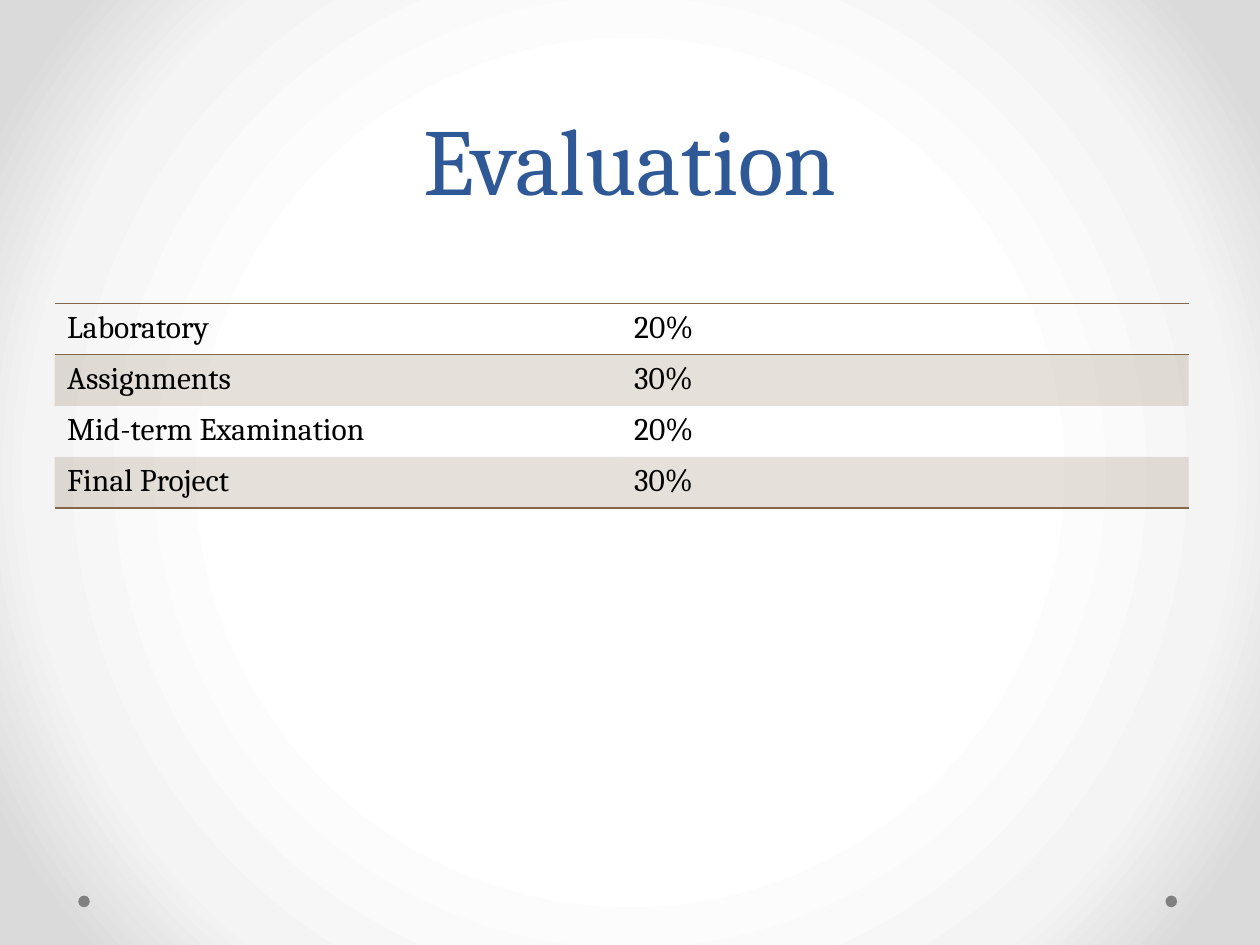
from pptx import Presentation
from pptx.dml.color import RGBColor as RGB
from pptx.enum.shapes import MSO_SHAPE as Shape
from pptx.enum.text import MSO_ANCHOR as Anchor, PP_ALIGN as Align
from pptx.oxml import parse_xml
from pptx.oxml.ns import nsdecls, qn
from pptx.util import Pt

BLUE = RGB(0x2F, 0x58, 0x97)
BROWN = RGB(0x84, 0x66, 0x48)
GREY = RGB(0x80, 0x80, 0x80)
BLACK = RGB(0, 0, 0)
GLOW = [(50, RGB(0xFF, 0xFF, 0xFF)), (76, RGB(0xF4, 0xF4, 0xF4)),
        (92, RGB(0xDA, 0xDA, 0xDA))]
FONT = "Cambria"
PLAIN = "{2D5ABB26-0587-4C30-8999-92F81FD0307C}"
ROWS = [("Laboratory", "20%"), ("Assignments", "30%"),
        ("Mid-term Examination", "20%"), ("Final Project", "30%")]


def style(font, color, **values):
    """Set the colour and other values of a font."""
    font.color.rgb = color
    for name, value in values.items():
        setattr(font, name, value)


def backdrop(slide):
    """Fill the background with a round glow."""
    stops = "".join(
        f'<a:gs pos="{at * 1000}"><a:srgbClr val="{color}"/></a:gs>'
        for at, color in GLOW)
    slide.element.cSld.insert(0, parse_xml(
        f'<p:bg {nsdecls("p", "a")}><p:bgPr><a:gradFill rotWithShape="1">'
        f'<a:gsLst>{stops}</a:gsLst><a:path path="circle"><a:fillToRect '
        'l="50000" t="50000" r="50000" b="50000"/></a:path></a:gradFill>'
        '<a:effectLst/></p:bgPr></p:bg>'))


def dots(slide, left, top, width, size):
    """Place a dot at each end of a strip."""
    for x in (left, left + width - size):
        dot = slide.shapes.add_shape(
            Shape.OVAL, Pt(x), Pt(top), Pt(size), Pt(size))
        dot.shadow.inherit = False
        dot.fill.solid()
        dot.fill.fore_color.rgb = GREY
        dot.line.fill.background()


def title(slide, text, left, top, width, height):
    """Write the heading at the foot of its box."""
    frame = slide.shapes.add_textbox(
        Pt(left), Pt(top), Pt(width), Pt(height)).text_frame
    frame.word_wrap = True
    frame.vertical_anchor = Anchor.BOTTOM
    para = frame.paragraphs[0]
    para.text = text
    para.alignment = Align.CENTER
    para.line_spacing = Pt(58)
    style(para.runs[0].font, BLUE, name=FONT, size=Pt(54))


def rule(cell, side):
    """Draw a thin line on one side (T or B) of a cell."""
    props = cell._tc.get_or_add_tcPr()
    line = parse_xml(
        f'<a:ln{side} {nsdecls("a")} w="{Pt(1)}"><a:solidFill>'
        f'<a:srgbClr val="{BROWN}"/></a:solidFill></a:ln{side}>')
    props.insert(len(props.findall(qn("a:lnT"))), line)


def shade(cell, band):
    """Tint a banded cell, or leave it clear."""
    if not band:
        cell.fill.background()
        return
    cell.fill.solid()
    cell.fill.fore_color.rgb = BROWN
    color = cell._tc.tcPr.find(".//" + qn("a:srgbClr"))
    color.append(parse_xml(f'<a:alpha {nsdecls("a")} val="20000"/>'))


def grades(slide, rows, left, top, width, height):
    """Build the ruled and banded table of grade shares."""
    table = slide.shapes.add_table(
        len(rows), len(rows[0]), Pt(left), Pt(top), Pt(width), Pt(height)).table
    table.first_row = table.horz_banding = False
    table._tbl.tblPr.find(qn("a:tableStyleId")).text = PLAIN
    sides = {0: "TB", len(rows) - 1: "B"}
    for r, row in enumerate(rows):
        for c, text in enumerate(row):
            cell = table.cell(r, c)
            cell.text = text
            style(cell.text_frame.paragraphs[0].runs[0].font, BLACK,
                  name=FONT, size=Pt(18))
            shade(cell, r % 2)
            for side in sides.get(r, ""):
                rule(cell, side)


def main():
    """Build and save the slide."""
    deck = Presentation()
    deck.slide_width, deck.slide_height = Pt(720), Pt(540)
    slide = deck.slides.add_slide(deck.slide_layouts[6])
    backdrop(slide)
    dots(slide, 44.7, 511.8, 627.9, 6.6)
    title(slide, "Evaluation", 36, 0, 648, 126)
    grades(slide, ROWS, 31.2, 173.5, 648, 116.8)
    deck.save("out.pptx")


main()
